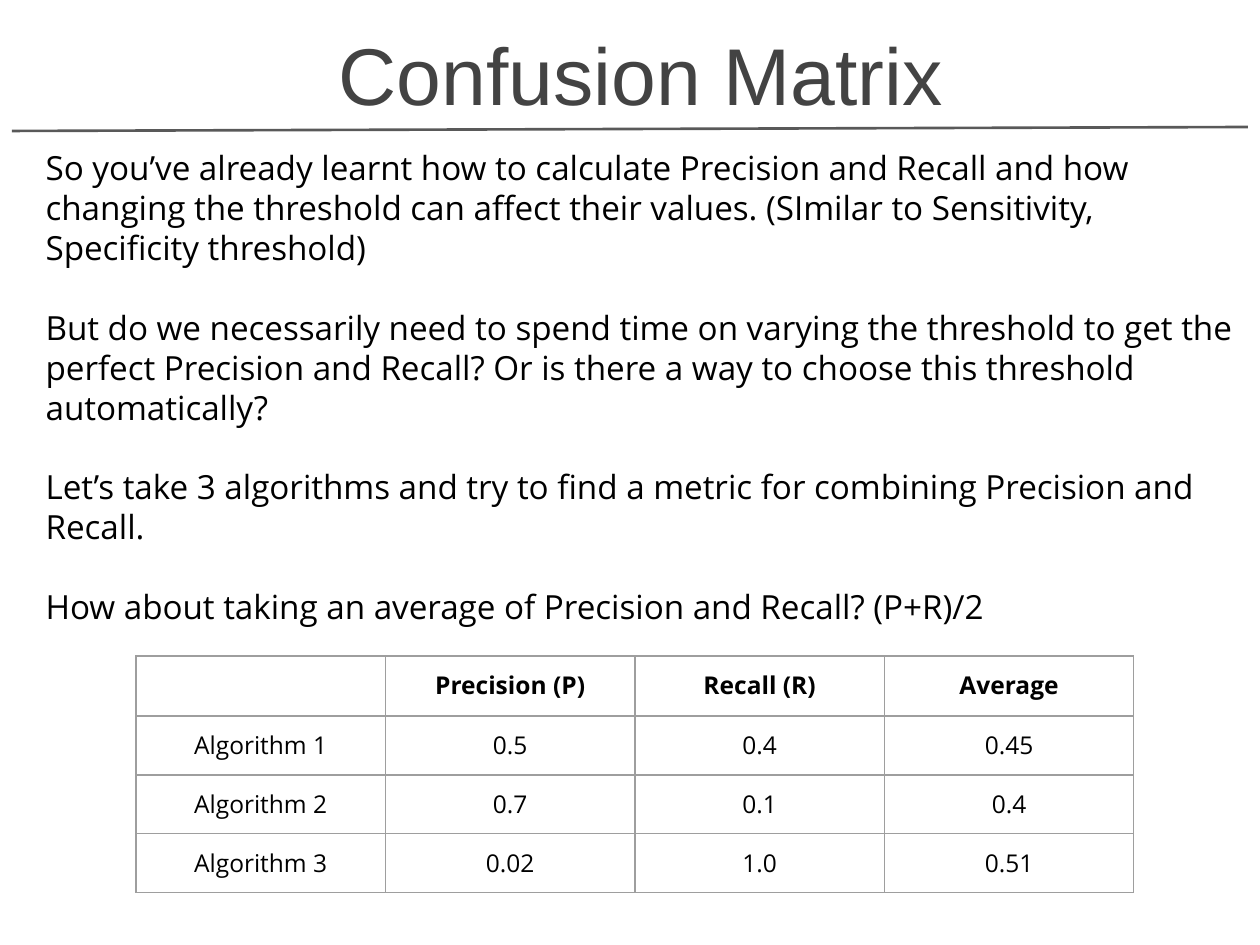
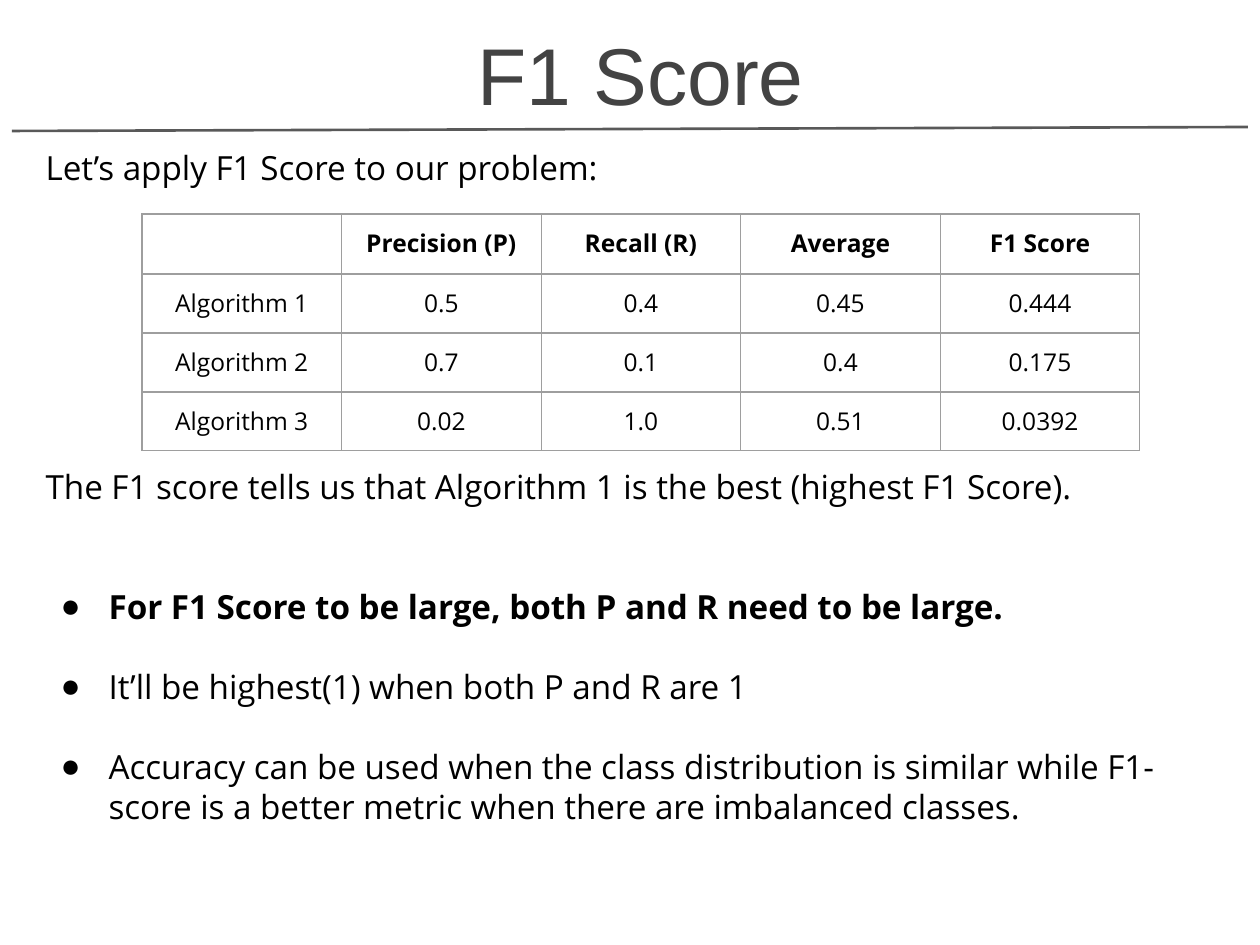
from dataclasses import dataclass

from lxml.etree import SubElement
from pptx import Presentation
from pptx.dml.color import RGBColor
from pptx.enum.shapes import MSO_CONNECTOR
from pptx.enum.text import MSO_ANCHOR, MSO_AUTO_SIZE, PP_ALIGN
from pptx.oxml.ns import qn
from pptx.util import Pt

# Content: body entries are (text, style, blank lines above)
RESULTS = [
    ["", "Precision (P)", "Recall (R)", "Average"],
    ["Algorithm 1", "0.5", "0.4", "0.45"],
    ["Algorithm 2", "0.7", "0.1", "0.4"],
    ["Algorithm 3", "0.02", "1.0", "0.51"],
]
F1_COLUMN = ["F1 Score", "0.444", "0.175", "0.0392"]

SLIDES = [
    {
        "title": "Confusion Matrix",
        "body": [
            ("So you’ve already learnt how to calculate Precision and Recall and how "
             "changing the threshold can affect their values. (SImilar to Sensitivity, "
             "Specificity threshold)", "plain", 0),
            ("But do we necessarily need to spend time on varying the threshold to get the "
             "perfect Precision and Recall? Or is there a way to choose this threshold "
             "automatically?", "plain", 1),
            ("Let’s take 3 algorithms and try to find a metric for combining Precision and "
             "Recall.", "plain", 1),
            ("How about taking an average of Precision and Recall? (P+R)/2", "plain", 1),
        ],
        "table": RESULTS,
        "table_at": (136, 656),
    },
    {
        "title": "F1 Score",
        "body": [
            ("Let’s apply F1 Score to our problem:", "plain", 0),
            ("The F1 score tells us that Algorithm 1 is the best (highest F1 Score).",
             "plain", 7),
            ("For F1 Score to be large, both P and R need to be large.", "bold bullet", 2),
            ("It’ll be highest(1) when both P and R are 1", "bullet", 1),
            ("Accuracy can be used when the class distribution is similar while F1-score "
             "is a better metric when there are imbalanced classes.", "bullet", 1),
        ],
        "table": [row + [score] for row, score in zip(RESULTS, F1_COLUMN)],
        "table_at": (142, 214),
    },
]


@dataclass(frozen=True)
class Theme:
    title_font: str = "Arial"
    body_font: str = "Open Sans"
    title_size: float = 46
    body_size: float = 19
    table_size: float = 14
    title_color: str = "434343"
    text_color: str = "000000"
    rule_color: str = "595959"
    grid_color: str = "9E9E9E"
    rule_width: float = 1.5
    grid_width: float = 0.75
    line_spacing: float = 1.0
    line_pitch: float = 22.8


THEME = Theme()


# Layout in px, 126 to the inch
def px(length):
    return round(length * 914400 / 126)


SLIDE_SIZE = (1260, 945)
TITLE_BOX = (33, 24, 1215, 110)
BODY_BOX = (33, 135, 1216, 790)
RULE = (12, 131, 1248, 127)
INSET = 12.6
BULLET_INDENT, BULLET_HANG = 63, 48
TABLE_WIDTH, HEADER_HEIGHT, ROW_HEIGHT = 998, 60, 59


def set_margins(target):
    for side in ("left", "top", "right", "bottom"):
        setattr(target, f"margin_{side}", px(INSET))


def format_runs(paragraph, font_name, size, color, bold=False):
    for run in paragraph.runs:
        run.font.name = font_name
        run.font.size = Pt(size)
        run.font.bold = bold
        run.font.color.rgb = RGBColor.from_string(color)


def place(shape, box, anchor):
    shape.left, shape.top, shape.width, shape.height = map(px, box)
    text_frame = shape.text_frame
    text_frame.word_wrap = True
    text_frame.auto_size = MSO_AUTO_SIZE.NONE
    text_frame.vertical_anchor = anchor
    set_margins(text_frame)
    return text_frame


def set_bullet(paragraph, shown):
    properties = paragraph._p.get_or_add_pPr()
    properties.set("marL", str(px(BULLET_INDENT) if shown else 0))
    properties.set("indent", str(-px(BULLET_HANG) if shown else 0))
    if shown:
        color = SubElement(properties, qn("a:buClr"))
        SubElement(color, qn("a:srgbClr"), val=THEME.text_color)
        SubElement(properties, qn("a:buChar"), char="●")
    else:
        SubElement(properties, qn("a:buNone"))


def add_title(slide, text):
    text_frame = place(slide.shapes.title, TITLE_BOX, MSO_ANCHOR.BOTTOM)
    text_frame.text = text
    paragraph = text_frame.paragraphs[0]
    paragraph.alignment = PP_ALIGN.CENTER
    format_runs(paragraph, THEME.title_font, THEME.title_size, THEME.title_color)


def add_rule(slide):
    rule = slide.shapes.add_connector(MSO_CONNECTOR.STRAIGHT, *map(px, RULE))
    rule.line.color.rgb = RGBColor.from_string(THEME.rule_color)
    rule.line.width = Pt(THEME.rule_width)
    SubElement(rule._element.spPr, qn("a:effectLst"))


def add_body(slide, entries):
    text_frame = place(slide.placeholders[1], BODY_BOX, MSO_ANCHOR.TOP)
    text_frame.text = "\n".join(text for text, _, _ in entries)
    for paragraph, (_, style, blank_lines) in zip(text_frame.paragraphs, entries):
        paragraph.alignment = PP_ALIGN.LEFT
        paragraph.line_spacing = THEME.line_spacing
        paragraph.space_before = Pt(blank_lines * THEME.line_pitch)
        paragraph.space_after = Pt(0)
        set_bullet(paragraph, "bullet" in style)
        format_runs(paragraph, THEME.body_font, THEME.body_size, THEME.text_color,
                    "bold" in style)


def format_cell(cell, text, is_header):
    properties = cell._tc.get_or_add_tcPr()
    for side in ("L", "R", "T", "B"):
        border = SubElement(properties, qn(f"a:ln{side}"), w=str(Pt(THEME.grid_width)))
        fill = SubElement(border, qn("a:solidFill"))
        SubElement(fill, qn("a:srgbClr"), val=THEME.grid_color)
    cell.fill.background()
    if text:
        set_margins(cell)
        cell.text_frame.text = text
        paragraph = cell.text_frame.paragraphs[0]
        paragraph.alignment = PP_ALIGN.CENTER
        format_runs(paragraph, THEME.body_font, THEME.table_size, THEME.text_color, is_header)


def add_results_table(slide, rows, position):
    heights = [HEADER_HEIGHT] + [ROW_HEIGHT] * (len(rows) - 1)
    box = (*position, TABLE_WIDTH, sum(heights))
    table = slide.shapes.add_table(len(rows), len(rows[0]), *map(px, box)).table
    table.first_row = table.horz_banding = False
    for column in table.columns:
        column.width = px(TABLE_WIDTH / len(rows[0]))
    for row_index, (height, row) in enumerate(zip(heights, rows)):
        table.rows[row_index].height = px(height)
        for column_index, text in enumerate(row):
            format_cell(table.cell(row_index, column_index), text, row_index == 0)


def main():
    presentation = Presentation()
    presentation.slide_width, presentation.slide_height = map(px, SLIDE_SIZE)
    for content in SLIDES:
        slide = presentation.slides.add_slide(presentation.slide_layouts[1])
        add_rule(slide)
        add_body(slide, content["body"])
        add_title(slide, content["title"])
        add_results_table(slide, content["table"], content["table_at"])
    presentation.save("out.pptx")


if __name__ == "__main__":
    main()
